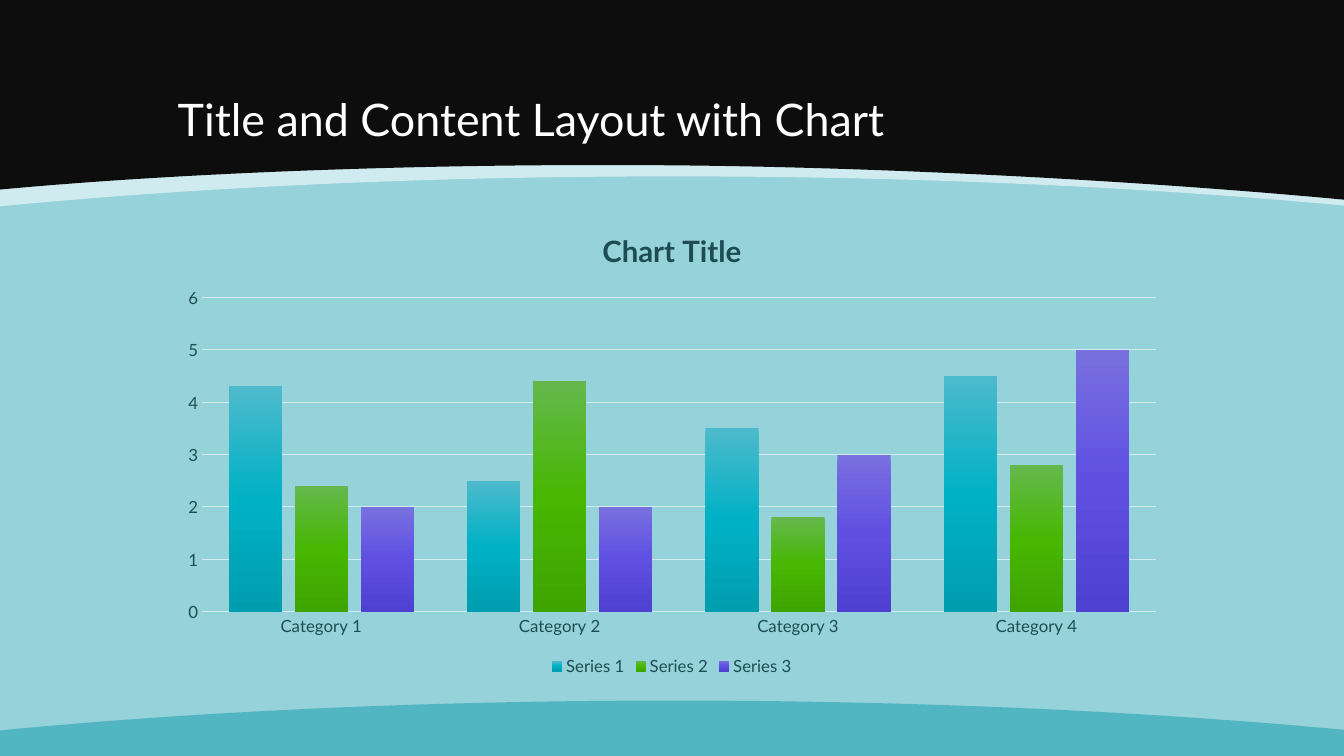
from lxml import etree
from pptx import Presentation
from pptx.chart.data import CategoryChartData
from pptx.dml.color import RGBColor
from pptx.enum.chart import XL_CHART_TYPE, XL_LEGEND_POSITION, XL_TICK_MARK
from pptx.enum.text import MSO_ANCHOR
from pptx.oxml import parse_xml
from pptx.oxml.ns import nsdecls, qn
from pptx.util import Pt

# Content
TITLE = "Title and Content Layout with Chart"
CHART_TITLE = "Chart Title"
CATEGORIES = ["Category 1", "Category 2", "Category 3", "Category 4"]
SERIES = [
    # name, values, gradient from top to bottom
    ("Series 1", (4.3, 2.5, 3.5, 4.5), ("4DBACC", "00B1C5", "009DAF")),
    ("Series 2", (2.4, 4.4, 1.8, 2.8), ("65B84D", "47B702", "3FA400")),
    ("Series 3", (2, 2, 3, 5), ("7970E0", "5F50E2", "4E40D0")),
]
FONT = "Lato"
COLORS = {
    "background": "96D2DA",
    "rim": "EAF6F8",
    "header": "0D0D0D",
    "footer": "52B5C2",
    "title": "FFFFFF",
    "chart_text": "1D4D53",
    "grid": "D3ECF0",
}

# Geometry in points
WIDTH, HEIGHT = 960, 540
BANDS = [
    # colour, opacity in percent, slide edge, two joined Bezier curves
    ("rim", 70, 0, [(960, 146.9), (820.8, 133.9), (656.6, 126), (481, 126),
                    (304.6, 126), (139.7, 133.9), (0, 147.4)]),
    ("header", 100, 0, [(960, 142.6), (820.8, 129.6), (640, 119.5), (481, 118.1),
                        (320.4, 116.6), (139.7, 122.4), (0, 135.4)]),
    ("footer", 100, HEIGHT, [(960, 521.3), (820.8, 508.3), (656.6, 500.4), (481, 500.4),
                             (304.6, 500.4), (139.7, 508.3), (0, 521.7)]),
]
TITLE_BOX = (119.9, 21.6, 720, 86.4)
CHART_BOX = (119.9, 149.6, 720, 336.2)
PLOT_LAYOUT = {"x": 0.034, "y": 0.187, "w": 0.946, "h": 0.668}  # shares of the chart


def color(name):
    return RGBColor.from_string(COLORS[name])


def style_font(font, size, color_name, bold=False):
    font.name, font.size, font.bold = FONT, Pt(size), bold
    font.color.rgb = color(color_name)


def style_line(line):
    line.color.rgb = color("grid")
    line.width = Pt(0.75)


def bend_lines(shape):
    """Turn the six lines after the first one into two cubic curves."""
    lines = list(shape.element.iter(qn("a:lnTo")))
    for start in (1, 4):
        curve = etree.Element(qn("a:cubicBezTo"))
        lines[start].addprevious(curve)
        for line in lines[start:start + 3]:
            curve.append(line[0])
            line.getparent().remove(line)


def add_band(slide, color_name, opacity, edge, controls):
    points = controls + [(0, edge)]
    builder = slide.shapes.build_freeform(Pt(WIDTH), Pt(edge))
    builder.add_line_segments([(Pt(x), Pt(y)) for x, y in points], close=True)
    shape = builder.convert_to_shape()
    bend_lines(shape)
    shape.shadow.inherit = False
    shape.line.fill.background()
    shape.fill.solid()
    shape.fill.fore_color.rgb = color(color_name)
    if opacity < 100:
        fill_color = shape.fill._xPr.find(qn("a:solidFill"))[0]
        etree.SubElement(fill_color, qn("a:alpha"), val=str(opacity * 1000))


def add_title(slide):
    box = slide.shapes.add_textbox(*map(Pt, TITLE_BOX))
    text_frame = box.text_frame
    text_frame.word_wrap = True
    text_frame.vertical_anchor = MSO_ANCHOR.BOTTOM
    text_frame.text = TITLE
    paragraph = text_frame.paragraphs[0]
    paragraph.line_spacing = 0.9
    style_font(paragraph.runs[0].font, 32, "title")


def fill_gradient(series, stops):
    series.format.fill.solid()
    solid = series.format.fill._xPr.find(qn("a:solidFill"))
    stop_xml = "".join(
        f'<a:gs pos="{index * 50000}"><a:srgbClr val="{stop}"/></a:gs>'
        for index, stop in enumerate(stops))
    gradient = parse_xml(
        f'<a:gradFill {nsdecls("a")} rotWithShape="1"><a:gsLst>{stop_xml}</a:gsLst>'
        '<a:lin ang="5400000" scaled="0"/></a:gradFill>')
    solid.getparent().replace(solid, gradient)


def place_plot(chart):
    plot_area = chart._chartSpace.chart.plotArea
    for layout in plot_area.findall(qn("c:layout")):
        plot_area.remove(layout)
    sizes = "".join(f'<c:{key} val="{value}"/>' for key, value in PLOT_LAYOUT.items())
    plot_area.insert(0, parse_xml(
        f'<c:layout {nsdecls("c")}><c:manualLayout><c:layoutTarget val="inner"/>'
        f'<c:xMode val="edge"/><c:yMode val="edge"/>{sizes}</c:manualLayout></c:layout>'))


def add_column_chart(slide):
    data = CategoryChartData()
    data.categories = CATEGORIES
    for name, values, _ in SERIES:
        data.add_series(name, values)
    chart = slide.shapes.add_chart(
        XL_CHART_TYPE.COLUMN_CLUSTERED, *map(Pt, CHART_BOX), data).chart
    style_font(chart.font, 12, "chart_text")

    # Chart title and legend
    chart.has_title = True
    chart.chart_title.include_in_layout = False
    chart.chart_title.text_frame.text = CHART_TITLE
    title_run = chart.chart_title.text_frame.paragraphs[0].runs[0]
    style_font(title_run.font, 21, "chart_text", bold=True)
    chart.has_legend = True
    chart.legend.position = XL_LEGEND_POSITION.BOTTOM
    chart.legend.include_in_layout = False
    style_font(chart.legend.font, 12, "chart_text")

    # Axes
    for axis in (chart.category_axis, chart.value_axis):
        axis.major_tick_mark = axis.minor_tick_mark = XL_TICK_MARK.NONE
        style_font(axis.tick_labels.font, 12, "chart_text")
    style_line(chart.category_axis.format.line)
    value_axis = chart.value_axis
    value_axis.minimum_scale, value_axis.maximum_scale = 0, 6
    value_axis.major_unit = 1
    value_axis.format.line.fill.background()
    style_line(value_axis.major_gridlines.format.line)

    # Columns
    plot = chart.plots[0]
    plot.vary_by_categories = False
    plot.gap_width, plot.overlap = 100, -24
    for series, (_, _, stops) in zip(plot.series, SERIES):
        series.invert_if_negative = False
        fill_gradient(series, stops)
    place_plot(chart)


def main():
    presentation = Presentation()
    presentation.slide_width, presentation.slide_height = Pt(WIDTH), Pt(HEIGHT)
    slide = presentation.slides.add_slide(presentation.slide_layouts[6])
    slide.background.fill.solid()
    slide.background.fill.fore_color.rgb = color("background")
    for band in BANDS:
        add_band(slide, *band)
    add_title(slide)
    add_column_chart(slide)
    presentation.save("out.pptx")


if __name__ == "__main__":
    main()
